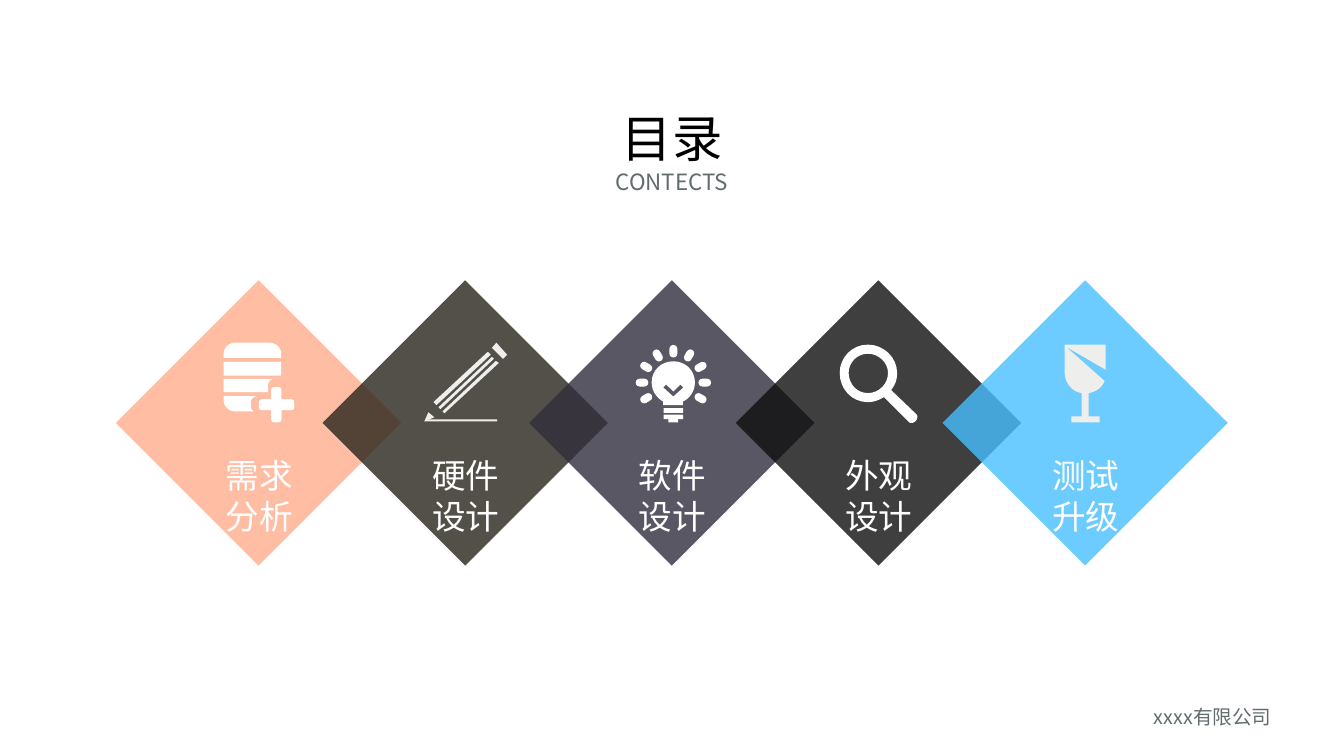
"""Build a contents slide with five overlapping diamonds, each with an icon and a label."""
import math
from dataclasses import dataclass

import pptx
import pptx.dml.color
import pptx.enum.shapes
import pptx.oxml
import pptx.oxml.ns
import pptx.shapes.base
import pptx.slide
import pptx.util

Pt = pptx.util.Pt
RGBColor = pptx.dml.color.RGBColor
SHAPE = pptx.enum.shapes.MSO_SHAPE
qn = pptx.oxml.ns.qn

WHITE = RGBColor(0xFF, 0xFF, 0xFF)
PALE = RGBColor(0xEE, 0xEF, 0xEC)
BLACK = RGBColor(0x00, 0x00, 0x00)
GREY = RGBColor(0x61, 0x6C, 0x6F)
PEACH = RGBColor(0xFF, 0xBD, 0xA3)
OLIVE = RGBColor(0x29, 0x25, 0x1C)
PLUM = RGBColor(0x30, 0x2E, 0x3C)
COAL = RGBColor(0x0F, 0x0F, 0x0F)
SKY = RGBColor(0x48, 0xBF, 0xFF)

FONT = "Noto Sans CJK SC"
LEFT, TOP, SIDE, PITCH = 82.8, 200.2, 203.8, 147.6
STEPS = 8

Ring = list[tuple[float, ...]]


@dataclass(frozen=True)
class Topic:
    label: str
    color: RGBColor
    alpha: int


@dataclass(frozen=True)
class Block:
    kind: SHAPE
    left: float
    top: float
    width: float
    height: float
    turn: float = 0
    round: float | None = None


@dataclass(frozen=True)
class Outline:
    color: RGBColor
    rings: list[Ring]


@dataclass(frozen=True)
class Caption:
    text: str
    left: float
    top: float
    width: float
    height: float
    size: float
    color: RGBColor


TOPICS = [
    Topic("需求分析", PEACH, 100),
    Topic("硬件设计", OLIVE, 80),
    Topic("软件设计", PLUM, 80),
    Topic("外观设计", COAL, 80),
    Topic("测试升级", SKY, 80),
]

DISK = [
    Outline(WHITE, [[(192.2, 244.8), (167.8, 244.8), (163.4, 244.8, 159.8, 248.4, 159.8, 252.7),
                     (159.8, 255.6), (200.9, 255.6), (200.9, 252.7),
                     (200.9, 248.4, 197.3, 244.8, 192.2, 244.8)]]),
    Outline(WHITE, [[(191.5, 275), (191.5, 272.9, 193.7, 270.7, 195.1, 270.7),
                     (200.9, 270.7), (159.8, 270.7), (159.8, 280.1), (191.5, 280.1)]]),
    Outline(WHITE, [[(179.3, 290.9), (179.3, 286.6), (179.3, 285.1, 181.4, 283, 183.6, 283),
                     (159.8, 283), (159.8, 285.8), (159.8, 290.2, 163.4, 293.8, 167.8, 293.8),
                     (181.4, 293.8), (180, 293, 179.3, 292.3, 179.3, 290.9)]]),
]
PENCIL = [Outline(PALE, [ring]) for ring in (
    [(351.4, 248.4), (359.3, 256.3), (362.2, 253.4), (354.6, 244.8)],
    [(306, 294.5), (303.1, 301), (310.3, 298.1)],
    [(316.1, 293.8), (317.5, 295.2), (356.4, 259.2), (354.2, 257.8)],
    [(314.6, 292.3), (352.8, 256.3), (351.4, 254.9), (313.2, 290.9)],
    [(311.8, 289.4), (350.6, 253.4), (348.5, 251.3), (309.6, 287.3)],
    [(355, 301), (303.1, 301), (304.6, 299.5), (355, 299.5)],
)]
BULB = [
    Outline(WHITE, [
        [(481, 258.1), (472.3, 258.1, 465.5, 264.6, 465.5, 273.2),
         (465.5, 279, 468.7, 284, 473.8, 286.9), (473.8, 289.4), (487.8, 289.4), (487.8, 286.9),
         (492.8, 284.6, 496.4, 279.4, 496.4, 273.2), (496.4, 264.6, 489.6, 258.1, 481, 258.1)],
        [(481, 283.3), (473.8, 276.8), (475.9, 274.7), (481, 279.7), (486, 274.7), (488.2, 276.8)],
    ]),
    Outline(WHITE, [[(474, 296.2), (488, 296.2), (488, 299.4), (484.5, 299.4),
                     (484.5, 301.7), (477.5, 301.7), (477.5, 299.4), (474, 299.4)]]),
]
LENS = [Outline(WHITE, [
    [(654.5, 295.9), (636.5, 278.6), (639.4, 275, 640.8, 271.4, 640.8, 266.4),
     (640.8, 255.6, 631.4, 246.2, 619.9, 246.2), (608.4, 246.2, 599.8, 255.6, 599.8, 266.4),
     (599.8, 277.9, 608.4, 287.3, 619.9, 287.3), (624.2, 287.3, 627.8, 285.8, 631.4, 283.7),
     (649.4, 301.7), (650.2, 302.4, 652.3, 302.4, 653.8, 301),
     (655.2, 299.5, 655.9, 297.4, 654.5, 295.9)],
    [(606.2, 266.4), (606.2, 259.2, 612, 252.7, 619.9, 252.7),
     (627.8, 252.7, 634.3, 259.2, 634.3, 266.4), (634.3, 274.3, 627.8, 280.8, 619.9, 280.8),
     (612, 280.8, 606.2, 274.3, 606.2, 266.4)],
])]
GLASS = [Outline(PALE, [[
    (760.5, 266.4), (760.5, 246.2), (789.8, 246.2), (789.8, 264.2), (761.4, 247.7),
    (789.1, 272.2), (787, 277.2, 782.6, 280.1, 777.6, 280.8), (777.6, 297.4), (785.5, 297.4),
    (785.5, 301.7), (765.4, 301.7), (765.4, 297.4), (772.6, 297.4), (772.6, 280.8),
    (766.1, 280.1, 760.5, 273.6, 760.5, 266.4)]])]

RAYS = [
    Block(SHAPE.ROUNDED_RECTANGLE, 478.2 + 22.4 * math.sin(math.radians(turn)),
          268.8 - 22.4 * math.cos(math.radians(turn)), 5.6, 9, turn, 0.5)
    for turn in range(-120, 121, 30)
]
BLOCKS = [
    Block(SHAPE.RECTANGLE, 159.8, 258.5, 41.1, 9.9),
    Block(SHAPE.ROUNDED_RECTANGLE, 185, 285.1, 25.2, 7.9, 0, 0.28),
    Block(SHAPE.ROUNDED_RECTANGLE, 193.7, 276.5, 7.4, 25.2, 0, 0.28),
    Block(SHAPE.RECTANGLE, 474, 291.6, 14, 3.4),
    *RAYS,
]
HEADS = [
    Caption("目录", 437, 72, 87.8, 51.1, 36, BLACK),
    Caption("CONTECTS", 432.7, 115.9, 100.8, 26.6, 16, GREY),
    Caption("xxxx有限公司", 817.2, 499.7, 142.8, 24.5, 14, GREY),
]


def paint(shape: pptx.shapes.base.BaseShape, color: RGBColor, alpha: int = 100) -> None:
    shape.shadow.inherit = False
    shape.fill.solid()
    shape.fill.fore_color.rgb = color
    shape.line.fill.background()
    if alpha < 100:
        tint = shape.fill._xPr.find(qn("a:solidFill"))[0]
        tint.append(pptx.oxml.parse_xml(
            '<a:alpha xmlns:a="http://schemas.openxmlformats.org/drawingml/2006/main" '
            f'val="{alpha * 1000}"/>'))


def place(slide: pptx.slide.Slide, block: Block, color: RGBColor, alpha: int = 100) -> None:
    shape = slide.shapes.add_shape(block.kind, Pt(block.left), Pt(block.top),
                                   Pt(block.width), Pt(block.height))
    shape.rotation = block.turn
    if block.round is not None:
        shape.adjustments[0] = block.round
    paint(shape, color, alpha)


def flatten(ring: Ring) -> list[tuple[int, int]]:
    dots = [ring[0]]
    for node in ring[1:]:
        if len(node) == 2:
            dots.append(node)
            continue
        ends = [dots[-1], node[:2], node[2:4], node[4:]]
        for step in range(1, STEPS + 1):
            t = step / STEPS
            mix = ((1 - t) ** 3, 3 * t * (1 - t) ** 2, 3 * t * t * (1 - t), t ** 3)
            dots.append(tuple(sum(m * e[axis] for m, e in zip(mix, ends)) for axis in (0, 1)))
    return [(Pt(x), Pt(y)) for x, y in dots]


def trace(slide: pptx.slide.Slide, outline: Outline) -> None:
    first, *rest = [flatten(ring) for ring in outline.rings]
    pen = slide.shapes.build_freeform(*first[0])
    pen.add_line_segments(first[1:])
    for dots in rest:
        pen.move_to(*dots[0])
        pen.add_line_segments(dots[1:])
    paint(pen.convert_to_shape(), outline.color)


def write(slide: pptx.slide.Slide, item: Caption) -> None:
    box = slide.shapes.add_textbox(Pt(item.left), Pt(item.top), Pt(item.width), Pt(item.height))
    frame = box.text_frame
    frame.word_wrap = True
    frame.text = item.text
    line = frame.paragraphs[0]
    line.line_spacing = Pt(round(item.size * 1.22, 1))
    font = line.runs[0].font
    font.name = FONT
    font.size = Pt(item.size)
    font.color.rgb = item.color
    font._element.find(qn("a:latin")).addnext(pptx.oxml.parse_xml(
        '<a:ea xmlns:a="http://schemas.openxmlformats.org/drawingml/2006/main" '
        f'typeface="{FONT}"/>'))


def main() -> None:
    deck = pptx.Presentation()
    deck.slide_width, deck.slide_height = Pt(960), Pt(540)
    slide = deck.slides.add_slide(deck.slide_layouts[6])
    for index, topic in enumerate(TOPICS):
        left = LEFT + index * PITCH
        place(slide, Block(SHAPE.DIAMOND, left, TOP, SIDE, SIDE), topic.color, topic.alpha)
        write(slide, Caption(topic.label, left + 71.2, 321.1, 69.8, 65.5, 24, WHITE))
    for block in BLOCKS:
        place(slide, block, WHITE)
    for outline in DISK + PENCIL + BULB + LENS + GLASS:
        trace(slide, outline)
    for item in HEADS:
        write(slide, item)
    deck.save("out.pptx")


if __name__ == "__main__":
    main()
